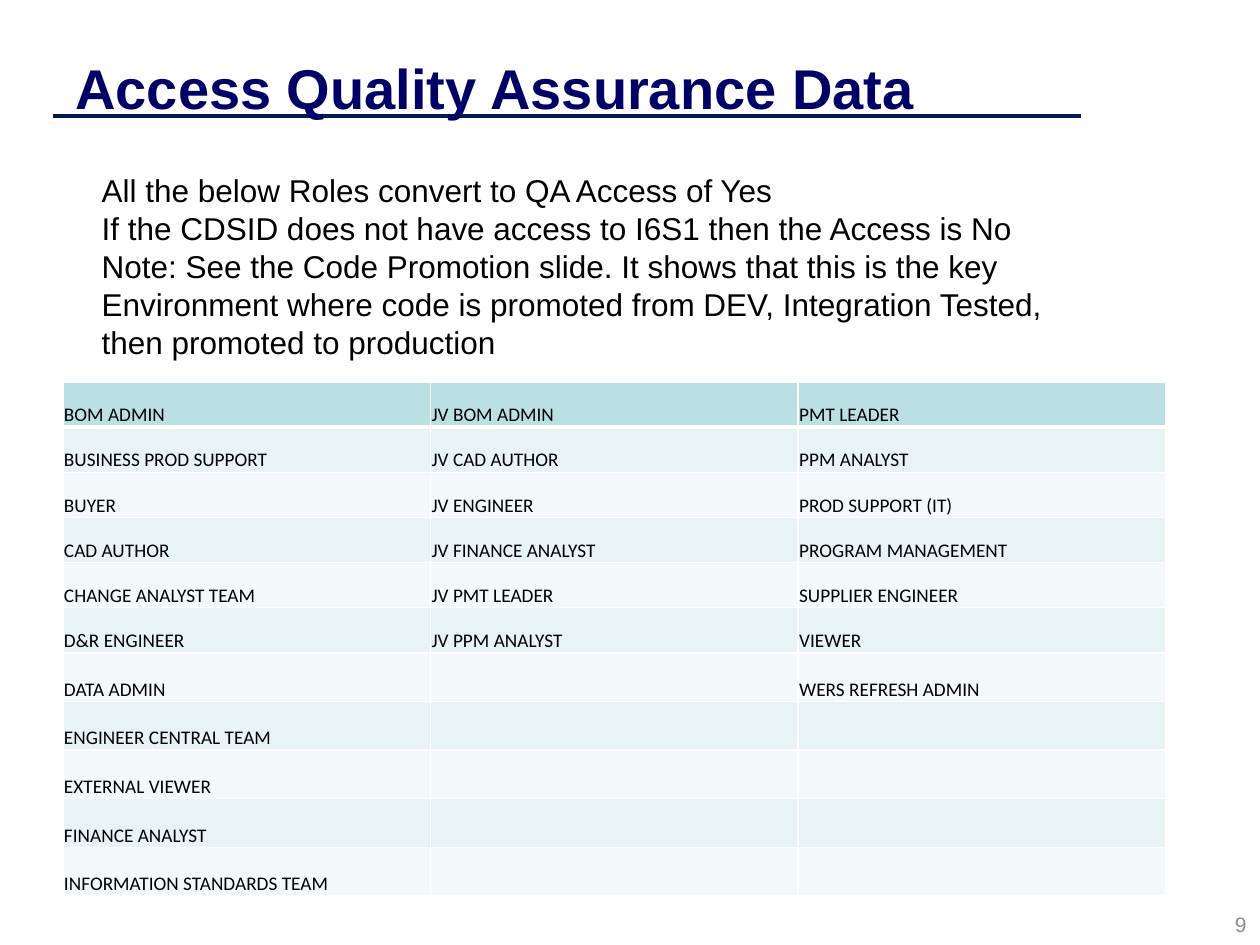
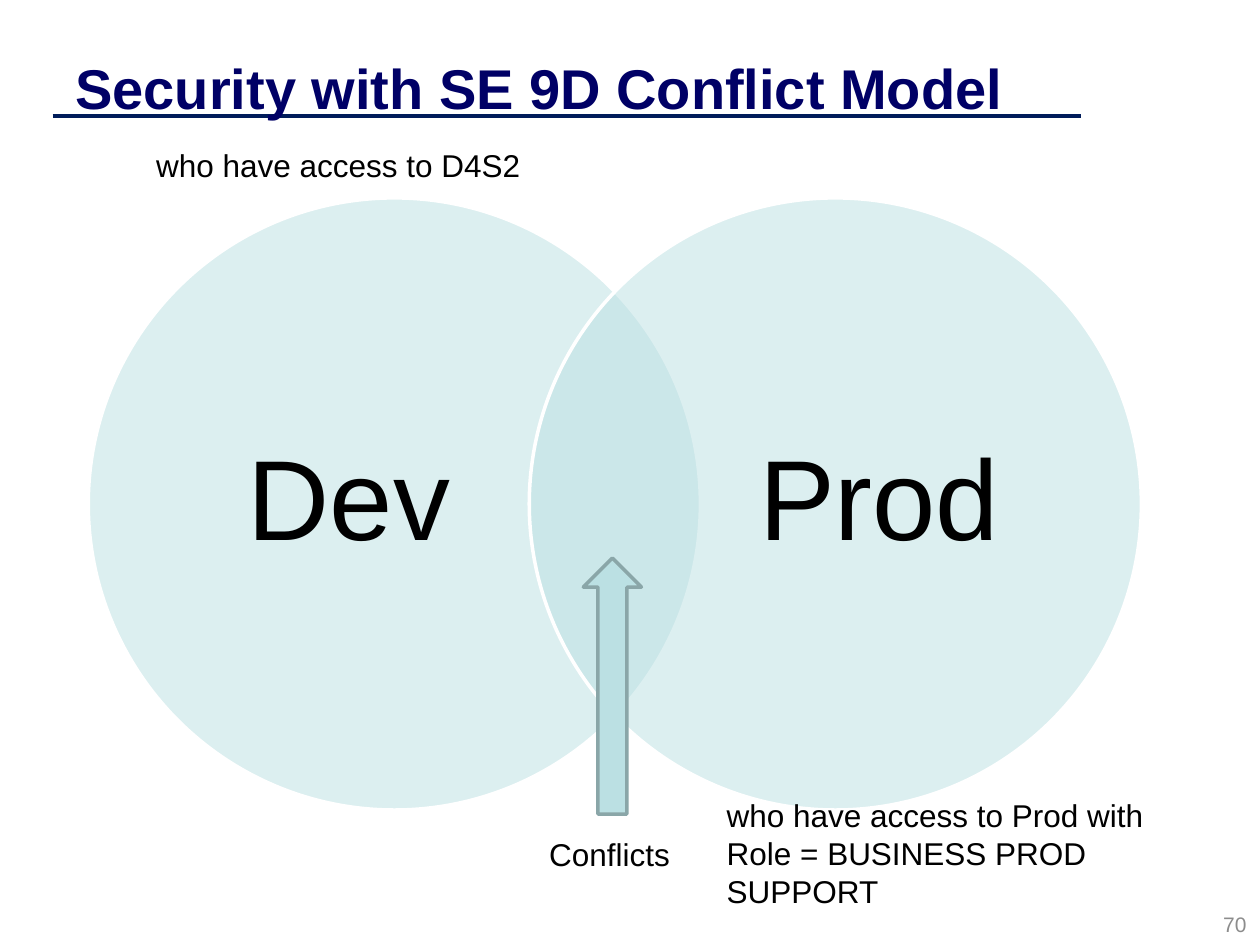
from dataclasses import dataclass
from itertools import zip_longest

from lxml.etree import SubElement
from pptx import Presentation
from pptx.dml.color import RGBColor
from pptx.enum.shapes import MSO_CONNECTOR, MSO_SHAPE
from pptx.enum.text import MSO_ANCHOR as Anchor, MSO_AUTO_SIZE as AutoSize, PP_ALIGN as Align
from pptx.oxml.ns import qn
from pptx.util import Cm, Pt


@dataclass(frozen=True)
class Theme:
    font: str = "Arial"
    table_font: str = "Calibri"
    title: str = "000066"
    rule: str = "001C5A"
    text: str = "000000"
    muted: str = "8C8C8C"
    accent: str = "BBE0E3"
    accent_edge: str = "8AA6A8"
    bands: tuple = ("E7F3F4", "F3F9FA")
    white: str = "FFFFFF"
    title_size: int = 32
    body_size: int = 18
    circle_size: int = 65
    number_size: int = 12
    table_size: int = 11


class Deck:
    def __init__(self, theme):
        self.theme = theme
        self.prs = Presentation()
        self.prs.slide_width, self.prs.slide_height = Cm(25.4), Cm(19.05)
        self.slide = None

    def new_slide(self, title, number):
        """Start a slide with the shared rule, title and page number."""
        theme = self.theme
        self.slide = self.prs.slides.add_slide(self.prs.slide_layouts[6])
        self.rule(1.06, 2.34, 21.8)
        self.text((1.27, 0.76, 20.32, 1.98), [title], theme.title_size,
                  theme.title, bold=True, anchor=Anchor.MIDDLE)
        self.text((19.46, 18.19, 5.92, 0.86), [str(number)], theme.number_size,
                  theme.muted, align=Align.RIGHT, anchor=Anchor.MIDDLE)

    def rule(self, left, top, right):
        line = self.slide.shapes.add_connector(
            MSO_CONNECTOR.STRAIGHT, Cm(left), Cm(top), Cm(right), Cm(top))
        line.line.color.rgb = RGBColor.from_string(self.theme.rule)
        line.line.width = Pt(2)
        SubElement(line._element.spPr, qn("a:effectLst"))

    def styled_run(self, paragraph, wording, size, color, font, bold=False):
        run = paragraph.add_run()
        run.text = wording
        run.font.name, run.font.size, run.font.bold = font, Pt(size), bold
        run.font.color.rgb = RGBColor.from_string(color)

    def text(self, box, lines, size, color, bold=False, align=Align.LEFT,
             anchor=Anchor.TOP, inset=None, spacing=None):
        frame = self.slide.shapes.add_textbox(*map(Cm, box)).text_frame
        frame.word_wrap = True
        frame.vertical_anchor = anchor
        if inset is not None:
            frame.margin_left = frame.margin_right = Cm(inset)
            frame.margin_top = frame.margin_bottom = Cm(inset)
        for index, wording in enumerate(lines):
            paragraph = frame.add_paragraph() if index else frame.paragraphs[0]
            paragraph.alignment = align
            paragraph.line_spacing = spacing
            self.styled_run(paragraph, wording, size, color, self.theme.font, bold)
        return frame

    def note(self, box, *lines):
        """Body text in a box that grows with its wording."""
        frame = self.text(box, lines, self.theme.body_size, self.theme.text)
        frame.auto_size = AutoSize.SHAPE_TO_FIT_TEXT

    def shape(self, preset, box, edge, opacity=None):
        shape = self.slide.shapes.add_shape(preset, *map(Cm, box))
        shape.shadow.inherit = False
        shape.fill.solid()
        shape.fill.fore_color.rgb = RGBColor.from_string(self.theme.accent)
        shape.line.color.rgb = RGBColor.from_string(edge)
        shape.line.width = Pt(2)
        if opacity is not None:
            color = shape._element.spPr.find(qn("a:solidFill"))[0]
            SubElement(color, qn("a:alpha"), val=str(opacity * 1000))
        return shape

    def borders(self, cell, widths):
        """Draw white borders; widths maps a side (L, R, T, B) to points."""
        properties = cell._tc.get_or_add_tcPr()
        for side, width in widths.items():
            line = SubElement(properties, qn(f"a:ln{side}"), w=str(Pt(width)))
            fill = SubElement(line, qn("a:solidFill"))
            SubElement(fill, qn("a:srgbClr"), val=self.theme.white)

    def table(self, left, top, column_width, row_heights, rows):
        theme = self.theme
        table = self.slide.shapes.add_table(
            len(rows), len(rows[0]), Cm(left), Cm(top),
            Cm(column_width * len(rows[0])), Cm(sum(row_heights))).table
        for column in table.columns:
            column.width = Cm(column_width)
        for r, (height, row) in enumerate(zip(row_heights, rows)):
            table.rows[r].height = Cm(height)
            for c, wording in enumerate(row):
                cell = table.cell(r, c)
                cell.margin_left = cell.margin_right = cell.margin_top = Cm(0.02)
                cell.margin_bottom = Cm(0)
                cell.vertical_anchor = Anchor.BOTTOM
                self.borders(cell, {"L": 1, "R": 1, "T": 3 if r == 1 else 1,
                                    "B": 3 if r == 0 else 1})
                cell.fill.solid()
                cell.fill.fore_color.rgb = RGBColor.from_string(
                    theme.bands[(r - 1) % 2] if r else theme.accent)
                if wording:
                    self.styled_run(cell.text_frame.paragraphs[0], wording,
                                    theme.table_size, theme.text, theme.table_font)


ROLES = (
    ["BOM ADMIN", "BUSINESS PROD SUPPORT", "BUYER", "CAD AUTHOR",
     "CHANGE ANALYST TEAM", "D&R ENGINEER", "DATA ADMIN",
     "ENGINEER CENTRAL TEAM", "EXTERNAL VIEWER", "FINANCE ANALYST",
     "INFORMATION STANDARDS TEAM"],
    ["JV BOM ADMIN", "JV CAD AUTHOR", "JV ENGINEER", "JV FINANCE ANALYST",
     "JV PMT LEADER", "JV PPM ANALYST"],
    ["PMT LEADER", "PPM ANALYST", "PROD SUPPORT (IT)", "PROGRAM MANAGEMENT",
     "SUPPLIER ENGINEER", "VIEWER", "WERS REFRESH ADMIN"],
)


def quality_access(deck):
    deck.new_slide("Access Quality Assurance Data", 9)
    role_rows = list(zip_longest(*ROLES, fillvalue=""))
    deck.table(1.27, 7.7, 7.41, [0.91] * 6 + [0.98] * 5, role_rows)
    deck.note((1.8, 3.33, 20.22, 4.11),
              "All the below Roles convert to QA Access of Yes",
              "If the CDSID does not have access to I6S1 then the Access is No",
              "Note: See the Code Promotion slide. It shows that this is the key "
              "Environment where code is promoted from DEV, Integration Tested, "
              "then promoted to production")


def conflict_model(deck):
    theme = deck.theme
    deck.new_slide("Security with SE 9D Conflict Model", 70)
    diameter = 12.34
    for environment, circle_left, label_left in (("Dev", 1.78, 3.48),
                                                 ("Prod", 10.67, 14.17)):
        deck.shape(MSO_SHAPE.OVAL, (circle_left, 3.99, diameter, diameter),
                   theme.white, opacity=50)
        deck.text((label_left, 5.44, 7.11, 9.42), [environment],
                  theme.circle_size, theme.text, align=Align.CENTER,
                  anchor=Anchor.MIDDLE, inset=0, spacing=0.9)
    pointer = deck.shape(MSO_SHAPE.DOWN_ARROW, (11.76, 11.25, 1.17, 5.16),
                         theme.accent_edge)
    pointer.rotation = 180
    deck.note((10.82, 16.71, 3, 1.02), "Conflicts")
    deck.note((2.9, 2.82, 10.01, 1.02), "who have access to D4S2")
    deck.note((14.4, 15.93, 9.78, 2.57),
              "who have access to Prod with Role = BUSINESS PROD SUPPORT")


def main():
    deck = Deck(Theme())
    quality_access(deck)
    conflict_model(deck)
    deck.prs.save("out.pptx")


if __name__ == "__main__":
    main()
